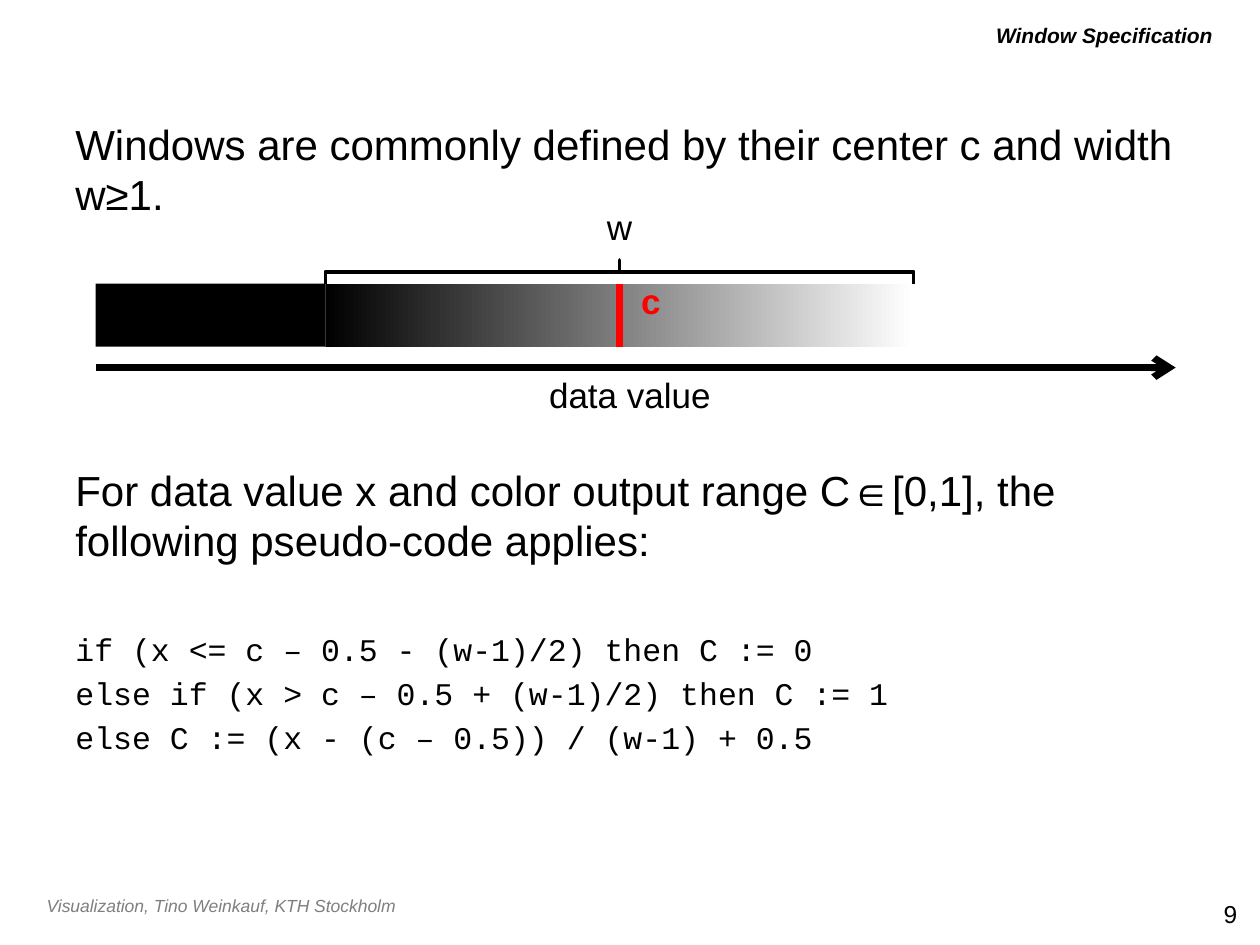
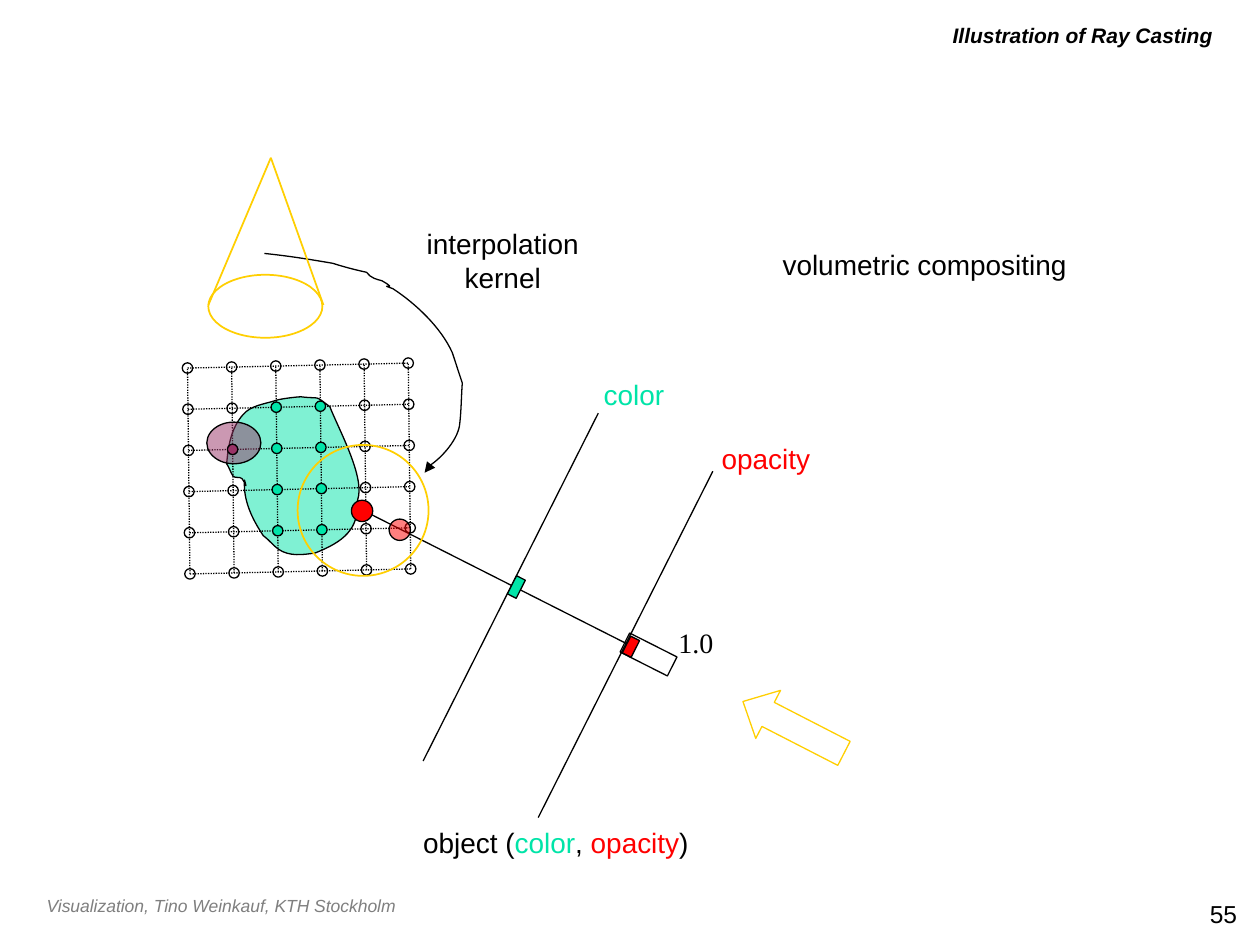
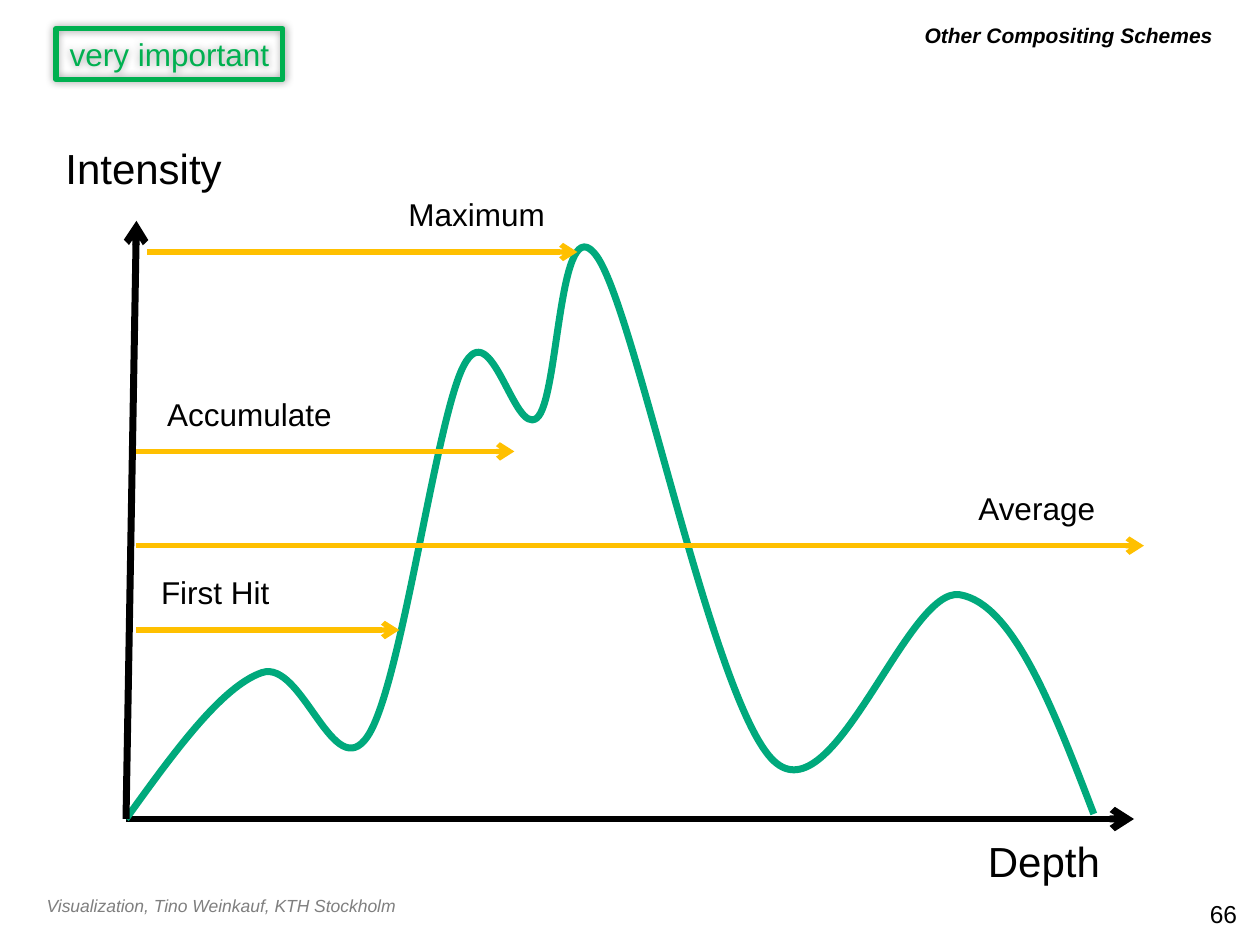
import pptx
import pptx.dml.color
import pptx.enum.dml
import pptx.enum.shapes
import pptx.enum.text
import pptx.oxml
import pptx.oxml.ns
import pptx.util
from pptx.dml.color import RGBColor
from pptx.enum.shapes import MSO_SHAPE
from pptx.enum.text import MSO_AUTO_SIZE, PP_ALIGN
from pptx.util import Cm, Pt

BLACK = RGBColor(0x00, 0x00, 0x00)
WHITE = RGBColor(0xFF, 0xFF, 0xFF)
GRAY = RGBColor(0x7F, 0x7F, 0x7F)
RED = RGBColor(0xFF, 0x00, 0x00)
MINT = RGBColor(0x00, 0xE4, 0xA8)
PURPLE = RGBColor(0x99, 0x33, 0x66)
YELLOW = RGBColor(0xFF, 0xCF, 0x01)
AMBER = RGBColor(0xFF, 0xC0, 0x00)
CURVE_GREEN = RGBColor(0x00, 0xA9, 0x7C)
BADGE_GREEN = RGBColor(0x00, 0xB0, 0x50)

LABEL_HEIGHT = 0.94


def add_xml(parent, tag, **attributes):
    element = pptx.oxml.parse_xml(f"<a:{tag} {pptx.oxml.ns.nsdecls('a')}/>")
    for name, value in attributes.items():
        element.set(name, str(value))
    parent.append(element)
    return element


class Deck:
    """Shared style and the current slide; all positions are in centimetres."""

    def __init__(self):
        self.presentation = pptx.Presentation()
        self.presentation.slide_width = Cm(25.4)
        self.presentation.slide_height = Cm(19.05)
        self.slide = None

    def new_slide(self, title, number):
        self.slide = self.presentation.slides.add_slide(self.presentation.slide_layouts[6])
        self.text("Visualization, Tino Weinkauf, KTH Stockholm", (0.69, 17.92, 18.77, 0.69),
                  10, GRAY, PP_ALIGN.LEFT, italic=True)
        self.text(title, (4.02, 0.33, 20.68, 0.79), 12, align=PP_ALIGN.RIGHT, grow=False,
                  bold=True, italic=True)
        self.text(str(number), (23.29, 18, 1.9, 0.86), 14, align=PP_ALIGN.RIGHT)

    def format_runs(self, paragraph, size, color=BLACK, font="Arial", bold=False, italic=False):
        for run in paragraph.runs:
            run.font.name = font
            run.font.size = Pt(size)
            run.font.color.rgb = color
            run.font.bold = bold
            run.font.italic = italic

    def text(self, content, box, size, color=BLACK, align=PP_ALIGN.CENTER, wrap=True,
             grow=True, **style):
        shape = self.slide.shapes.add_textbox(*map(Cm, box))
        self.fill_text(shape, content, size, color, align, wrap, grow, **style)
        return shape.text_frame

    def fill_text(self, shape, content, size, color, align, wrap, grow=True, **style):
        shape.text_frame.text = content
        shape.text_frame.word_wrap = wrap
        if grow:
            shape.text_frame.auto_size = MSO_AUTO_SIZE.SHAPE_TO_FIT_TEXT
        for paragraph in shape.text_frame.paragraphs:
            paragraph.alignment = align
            self.format_runs(paragraph, size, color, **style)

    def paint(self, shape, fill, line, width, alpha=None):
        shape.shadow.inherit = False
        if fill is None:
            shape.fill.background()
        else:
            shape.fill.solid()
            shape.fill.fore_color.rgb = fill
            if alpha:
                color = shape._element.spPr.xpath("./a:solidFill/a:srgbClr")[0]
                add_xml(color, "alpha", val=alpha * 1000)
        if line is None:
            shape.line.fill.background()
        else:
            shape.line.color.rgb = line
            shape.line.width = Pt(width)

    def shape(self, kind, box, fill=None, line=BLACK, width=0.75, alpha=None,
              rotation=0, adjustments=()):
        shape = self.slide.shapes.add_shape(kind, *map(Cm, box))
        self.paint(shape, fill, line, width, alpha)
        shape.rotation = rotation
        for index, value in enumerate(adjustments):
            shape.adjustments[index] = value
        return shape

    def circle(self, center, diameter, **style):
        x, y = center
        self.shape(MSO_SHAPE.OVAL, (x - diameter / 2, y - diameter / 2, diameter, diameter),
                   **style)

    def line(self, start, end, color=BLACK, width=0.75, dotted=False, head=None):
        connector = self.slide.shapes.add_connector(
            pptx.enum.shapes.MSO_CONNECTOR.STRAIGHT, *map(Cm, start + end))
        connector.line.color.rgb = color
        connector.line.width = Pt(width)
        if dotted:
            connector.line.dash_style = pptx.enum.dml.MSO_LINE.ROUND_DOT
        if head:
            add_xml(connector.line._get_or_add_ln(), "tailEnd", type=head)
        add_xml(connector._element.spPr, "effectLst")
        return connector

    def curve(self, start, segments, fill=None, line=BLACK, width=0.75, alpha=None,
              closed=False, head=None):
        """Chain of cubic curves, each given as x1, y1, x2, y2, x3, y3."""
        builder = self.slide.shapes.build_freeform(*map(Cm, start))
        builder.add_line_segments([(Cm(x), Cm(y)) for *_, x, y in segments], close=closed)
        shape = builder.convert_to_shape()
        # Bend each straight segment into its cubic curve
        for straight, values in zip(shape._element.xpath(".//a:lnTo"), segments):
            bend = add_xml(straight.getparent(), "cubicBezTo")
            straight.getparent().replace(straight, bend)
            for x, y in zip(values[::2], values[1::2]):
                add_xml(bend, "pt", x=Cm(x) - shape.left, y=Cm(y) - shape.top)
        self.paint(shape, fill, line, width, alpha)
        if head:
            add_xml(shape.line._get_or_add_ln(), "tailEnd", type=head)


def window_slide(deck):
    deck.new_slide("Window Specification", 9)

    # Explanation and pseudo-code
    frame = deck.text(
        "Windows are commonly defined by their center c and width w≥1.\n"
        "For data value x and color output range C∈[0,1], the following pseudo-code applies:\n"
        "if (x <= c – 0.5 - (w-1)/2) then C := 0\n"
        "else if (x > c – 0.5 + (w-1)/2) then C := 1\n"
        "else C := (x - (c – 0.5)) / (w-1) + 0.5",
        (1.27, 2.26, 22.86, 16.36), 24, align=PP_ALIGN.LEFT, grow=False)
    for paragraph, gap in zip(frame.paragraphs[1:], (140, 37, 3.6, 3.6)):
        paragraph.space_before = Pt(gap)
    for paragraph in frame.paragraphs[2:]:
        deck.format_runs(paragraph, 18, font="Courier New")

    # Gray ramp over the data axis
    ramp = deck.shape(MSO_SHAPE.RECTANGLE, (6.56, 5.72, 11.85, 1.27), line=None)
    ramp.fill.gradient()
    ramp.fill.gradient_angle = 0
    for stop, color in zip(ramp.fill.gradient_stops, (BLACK, WHITE)):
        stop.color.rgb = color
    deck.shape(MSO_SHAPE.RECTANGLE, (1.93, 5.72, 4.63, 1.27), fill=BLACK, line=None)
    deck.line((1.93, 7.41), (23.7, 7.41), width=4, head="arrow")
    deck.text("data value", (7.62, 7.41, 10.16, 1.12), 20)

    # Width and center of the window
    deck.shape(MSO_SHAPE.RIGHT_BRACE, (12.25, -0.45, 0.48, 11.86), width=2,
               rotation=270, adjustments=(0, 0.5))
    deck.text("w", (7.41, 4.02, 10.16, 1.12), 20)
    center = deck.line((12.49, 5.72), (12.49, 6.99), RED, 4)
    center.begin_connect(ramp, 0)
    center.end_connect(ramp, 2)
    deck.text("c", (8.04, 5.5, 10.16, 1.12), 20, RED, bold=True)


def grid_node(column, row):
    """Center of a node in the slightly tilted voxel grid."""
    return 3.78 + 0.89 * column + 0.01 * row, 7.42 - 0.02 * column + 0.83 * row


def ray_casting_slide(deck):
    deck.new_slide("Illustration of Ray Casting", 55)

    # View direction and the two profile axes
    deck.shape(MSO_SHAPE.LEFT_ARROW, (14.85, 14.12, 2.29, 1.09), line=YELLOW,
               rotation=27.2, adjustments=(0.5, 0.524))
    deck.line((14.37, 9.5), (10.85, 16.48))
    deck.line((12.06, 8.33), (8.53, 15.34))

    # Object inside the voxel grid
    deck.curve((4.93, 9.68), [
        (4.9, 10.08, 5.08, 10.46, 5.31, 10.8),
        (5.41, 10.87, 5.51, 11, 5.61, 11.07),
        (5.84, 11.23, 6.12, 11.18, 6.35, 11.15),
        (6.93, 10.92, 7.24, 10.67, 7.21, 10.08),
        (7.37, 9.63, 6.83, 8.66, 6.65, 8.2),
        (6.32, 7.95, 6.48, 8.05, 6.07, 8),
        (5.97, 8, 5.59, 8.05, 5.54, 8.08),
        (5.31, 8.15, 5.05, 8.18, 4.9, 8.36),
        (4.65, 8.64, 4.6, 9.02, 4.57, 9.35),
        (4.62, 9.42, 4.65, 9.53, 4.7, 9.6),
        (4.75, 9.65, 4.83, 9.6, 4.88, 9.65),
        (4.93, 9.7, 5, 9.93, 4.93, 9.68),
    ], fill=MINT, alpha=50, closed=True)
    for index in range(6):
        deck.line(grid_node(index, 5), grid_node(index, 0), dotted=True)
        deck.line(grid_node(0, index), grid_node(5, index), dotted=True)
    deck.shape(MSO_SHAPE.OVAL, (4.17, 8.51, 1.09, 0.84), fill=PURPLE, alpha=50)
    for row in range(6):
        for column in range(6):
            fill = None
            if column in (2, 3) and 1 <= row <= 4:
                fill = MINT
            elif (column, row) == (1, 2):
                fill = PURPLE
            deck.circle(grid_node(column, row), 0.21, fill=fill)

    # Ray with its samples
    deck.line((7.32, 10.29), (12.8, 13.06))
    deck.circle((8.06, 10.68), 0.43, fill=RED, alpha=50)
    deck.circle((7.3, 10.3), 0.43, fill=RED)
    for box, fill in (((12.62, 12.85, 0.2, 0.38), RED),
                      ((10.31, 11.63, 0.2, 0.41), MINT),
                      ((12.54, 12.98, 1.07, 0.43), None)):
        deck.shape(MSO_SHAPE.RECTANGLE, box, fill=fill, rotation=26.8)

    # Interpolation kernel: arrow, cone and footprint
    deck.curve((5.33, 5.11), [
        (5.82, 5.16, 6.25, 5.23, 6.71, 5.31),
        (6.93, 5.38, 7.16, 5.44, 7.39, 5.49),
        (7.44, 5.54, 7.47, 5.59, 7.54, 5.61),
        (7.59, 5.64, 7.65, 5.64, 7.7, 5.66),
        (8.1, 5.89, 7.57, 5.69, 7.92, 5.82),
        (8.38, 6.12, 8.89, 6.6, 9.12, 7.11),
        (9.19, 7.32, 9.25, 7.52, 9.32, 7.72),
        (9.3, 8, 9.3, 8.26, 9.27, 8.53),
        (9.25, 8.84, 8.89, 9.25, 8.64, 9.4),
        (8.61, 9.45, 8.56, 9.53, 8.56, 9.53),
    ], head="triangle")
    apex = (5.46, 3.18)
    deck.line((4.2, 6.15), apex, YELLOW, 1)
    deck.line(apex, (6.52, 6.15), YELLOW, 1)
    deck.shape(MSO_SHAPE.OVAL, (4.2, 5.54, 2.3, 1.27), line=YELLOW, width=1)
    deck.circle((7.32, 10.29), 2.64, line=YELLOW, width=1)

    # Labels
    kernel = deck.text("", (8.33, 4.45, 3.61, 1.63), 16, wrap=False).paragraphs[0]
    kernel.text = "interpolation\vkernel"
    deck.format_runs(kernel, 16)
    deck.text("volumetric compositing", (15.49, 4.87, 6.3, LABEL_HEIGHT), 16, wrap=False)
    deck.text("1.0", (12.44, 12.49, 3.18, LABEL_HEIGHT), 16, font="Times New Roman")
    deck.text("color", (7.8, 7.49, 9.96, LABEL_HEIGHT), 16, MINT)
    deck.text("opacity", (10.46, 8.78, 9.96, LABEL_HEIGHT), 16, RED)
    caption = deck.text("object (", (8.26, 16.51, 5.89, LABEL_HEIGHT), 16, wrap=False)
    paragraph = caption.paragraphs[0]
    pieces = (("color", MINT), (", ", BLACK), ("opacity", RED), (")", BLACK))
    for piece, _ in pieces:
        paragraph.add_run().text = piece
    deck.format_runs(paragraph, 16)
    for run, (_, color) in zip(paragraph.runs[1:], pieces):
        run.font.color.rgb = color


def compositing_slide(deck):
    deck.new_slide("Other Compositing Schemes", 66)

    # Intensity profile along the ray
    origin = (2.54, 16.51)
    deck.line(origin, (22.86, 16.51), width=4, head="arrow")
    deck.text("Intensity", (1.04, 2.74, 3.71, 1.27), 24, wrap=False)
    deck.text("Depth", (19.65, 16.71, 2.79, 1.27), 24, wrap=False)
    deck.curve(origin, [
        (3.51, 15.16, 4.47, 13.84, 5.28, 13.56),
        (6.1, 13.28, 6.73, 15.88, 7.42, 14.83),
        (8.1, 13.79, 8.79, 8.43, 9.35, 7.37),
        (9.91, 6.3, 10.36, 8.79, 10.82, 8.43),
        (11.28, 8.08, 11.25, 4.04, 12.04, 5.18),
        (12.83, 6.32, 14.38, 14.2, 15.6, 15.34),
        (16.81, 16.48, 18.29, 11.81, 19.35, 11.99),
        (20.42, 12.17, 21.23, 14.27, 22.05, 16.41),
    ], line=CURVE_GREEN, width=4)

    # Schemes: name, arrow height, arrow start and end, label left and width
    for name, y, start, end, left, width in (
            ("Average", 11, 2.74, 23.06, 19.45, 2.9),
            ("Accumulate", 9.1, 2.74, 10.37, 3.1, 3.86),
            ("Maximum", 5.08, 2.97, 11.64, 7.96, 3.3),
            ("First Hit", 12.7, 2.74, 8.05, 2.98, 2.72)):
        deck.line((start, y), (end, y), AMBER, 3, head="arrow")
        deck.text(name, (left, y - 1.27, width, 1.02), 18, wrap=False)
    deck.line(origin, (2.75, 4.45), width=4, head="arrow")

    # Badge with a soft shadow
    badge = deck.shape(MSO_SHAPE.RECTANGLE, (1.13, 0.58, 4.57, 1.02),
                       line=BADGE_GREEN, width=3)
    deck.fill_text(badge, "very important", 18, BADGE_GREEN, PP_ALIGN.CENTER, False)
    effects = badge._element.spPr.xpath("./a:effectLst")[0]
    shadow = add_xml(effects, "outerShdw", blurRad=Pt(5), dist=0, dir=0,
                     algn="ctr", rotWithShape=0)
    add_xml(add_xml(shadow, "srgbClr", val=BLACK), "alpha", val=40000)


def main():
    deck = Deck()
    window_slide(deck)
    ray_casting_slide(deck)
    compositing_slide(deck)
    deck.presentation.save("out.pptx")


if __name__ == "__main__":
    main()
